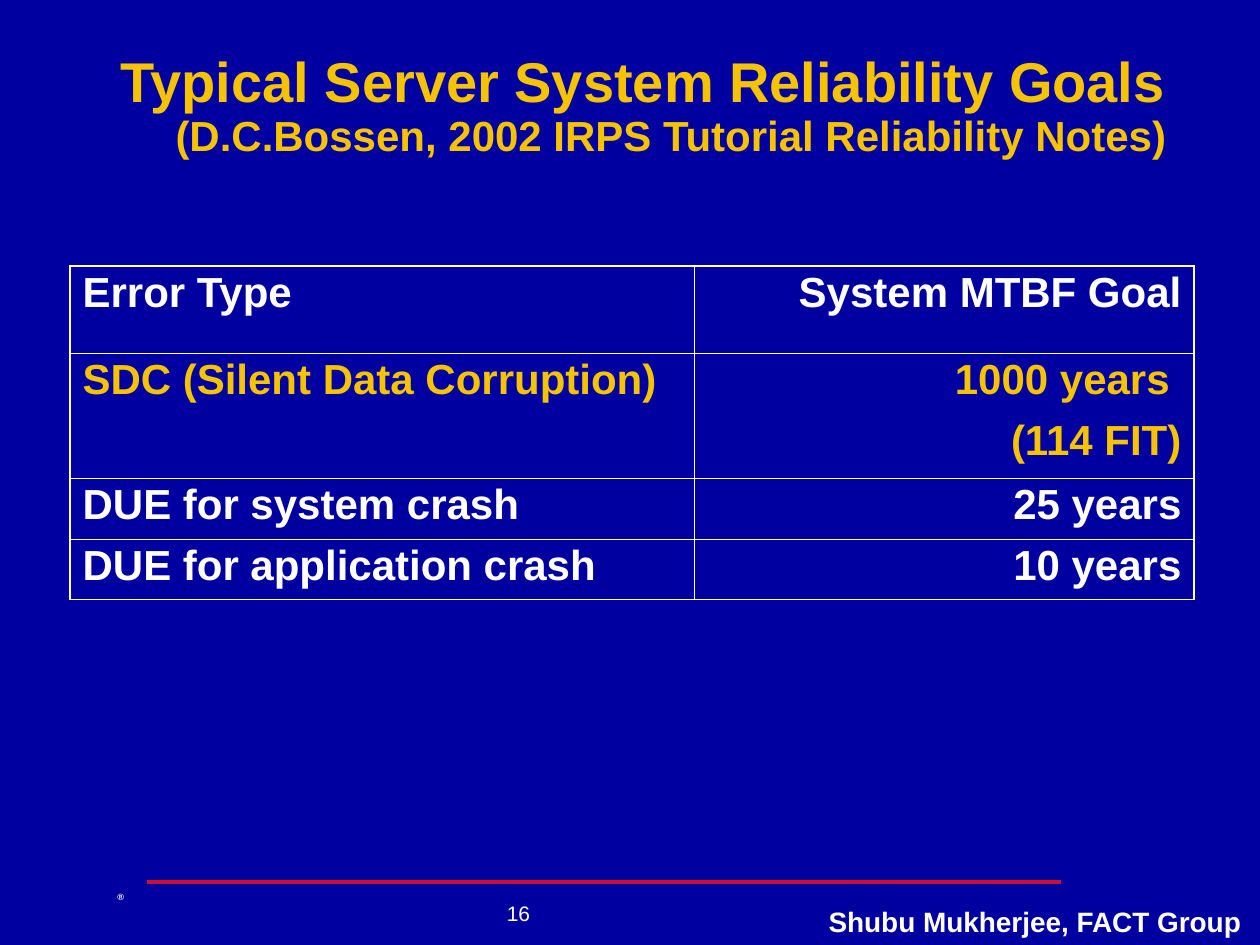
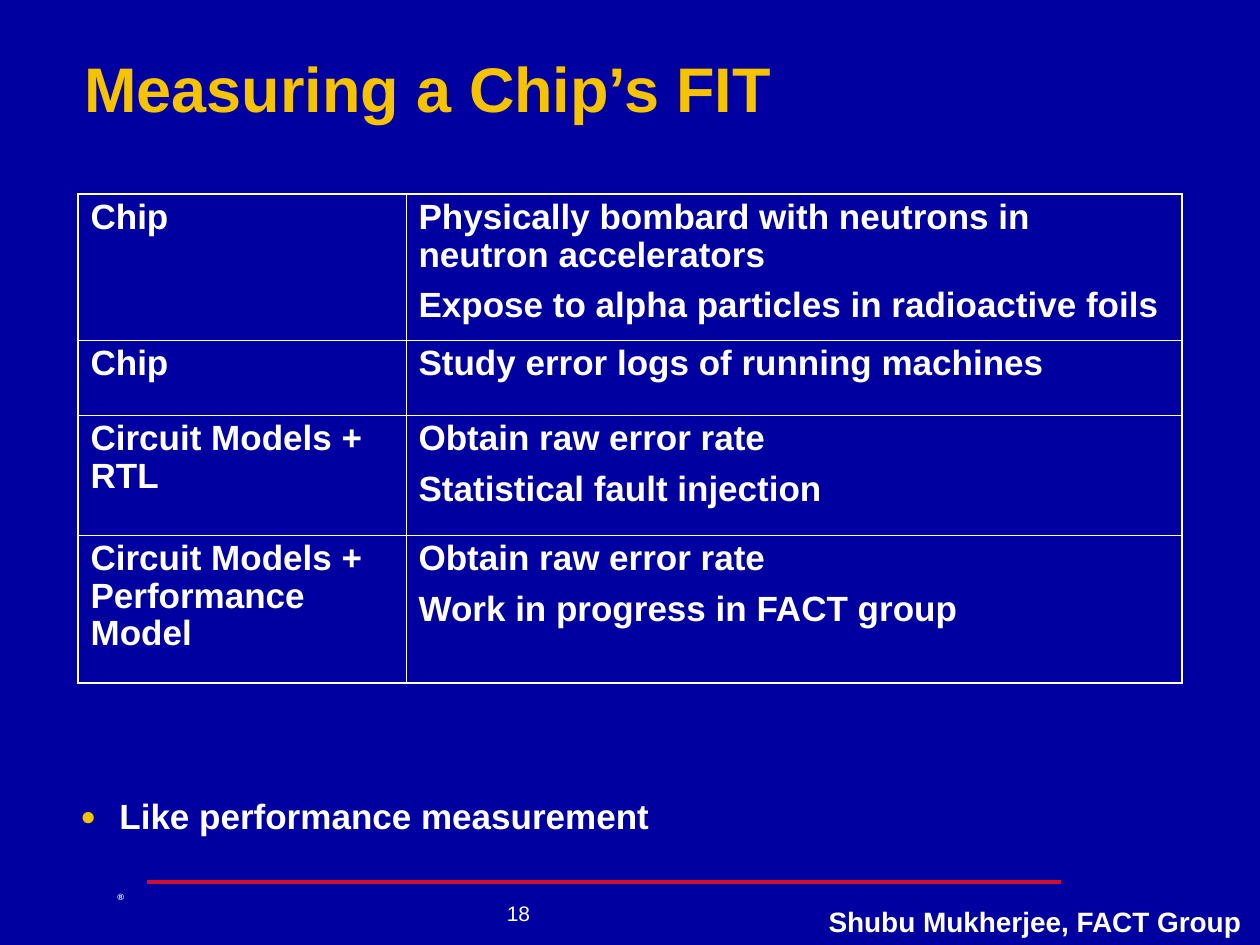
from lxml import etree
from pptx import Presentation
from pptx.dml.color import RGBColor
from pptx.enum.shapes import MSO_CONNECTOR
from pptx.enum.text import MSO_ANCHOR, PP_ALIGN
from pptx.oxml.ns import qn
from pptx.util import Pt

LEFT, CENTER, RIGHT = PP_ALIGN.LEFT, PP_ALIGN.CENTER, PP_ALIGN.RIGHT
TOP, MIDDLE = MSO_ANCHOR.TOP, MSO_ANCHOR.MIDDLE
STRAIGHT = MSO_CONNECTOR.STRAIGHT

EMU_PER_PX = 914400 / 126
FONT = "Arial"
COLORS = {"background": "0000A0", "text": "FFFFFF", "accent": "F5C300", "rule": "CF0E30"}
OUTER_BORDER, INNER_BORDER = 1.08, 0.45


def px(length):
    return round(length * EMU_PER_PX)


def rgb(name):
    return RGBColor.from_string(COLORS[name])


# Text
def write_text(frame, text, *, size, color="text", bold=True, align=LEFT,
               line_spacing=None, space_before=None):
    """Write one paragraph for each line of text and return the paragraphs."""
    for index, line in enumerate(text.split("\n")):
        paragraph = frame.add_paragraph() if index else frame.paragraphs[0]
        paragraph.alignment = align
        paragraph.line_spacing = line_spacing
        if space_before is not None:
            paragraph.space_before = Pt(space_before)
        run = paragraph.add_run()
        run.text = line
        run.font.name = FONT
        run.font.size = Pt(size)
        run.font.bold = bold
        run.font.color.rgb = rgb(color)
    return frame.paragraphs


def add_text(slide, box, text, *, anchor=TOP, wrap=False, fill=None, **text_format):
    shape = slide.shapes.add_textbox(*map(px, box))
    if fill:
        shape.fill.solid()
        shape.fill.fore_color.rgb = rgb(fill)
    frame = shape.text_frame
    frame.word_wrap = wrap
    frame.vertical_anchor = anchor
    return write_text(frame, text, **text_format)


def add_title(slide, box, text, **text_format):
    return add_text(slide, box, text, wrap=True, fill="background", color="accent",
                    line_spacing=0.9, **text_format)


def add_bullet(slide, box, text, size):
    paragraph = add_text(slide, box, text, wrap=True, fill="background", size=size,
                         line_spacing=0.95, space_before=7.5)[0]
    properties = paragraph._p.get_or_add_pPr()
    properties.set("marL", str(px(39)))
    properties.set("indent", str(-px(39)))
    color = etree.SubElement(properties, qn("a:buClr"))
    etree.SubElement(color, qn("a:srgbClr"), val=COLORS["accent"])
    etree.SubElement(properties, qn("a:buSzPct"), val="75000")
    etree.SubElement(properties, qn("a:buFont"), typeface=FONT)
    etree.SubElement(properties, qn("a:buChar"), char="●")


# Tables
def set_borders(cell, outer_sides):
    properties = cell._tc.get_or_add_tcPr()
    for index, side in enumerate("LRTB"):
        width = OUTER_BORDER if side in outer_sides else INNER_BORDER
        line = etree.Element(qn(f"a:ln{side}"), w=str(Pt(width)))
        fill = etree.SubElement(line, qn("a:solidFill"))
        etree.SubElement(fill, qn("a:srgbClr"), val=COLORS["text"])
        properties.insert(index, line)


def add_grid(slide, left, top, widths, heights, rows, *, size, space_before,
             aligns=(LEFT, LEFT), accent_row=None):
    box = (left, top, sum(widths), sum(heights))
    table = slide.shapes.add_table(len(rows), len(widths), *map(px, box)).table
    table.first_row = table.horz_banding = False
    for column, width in zip(table.columns, widths):
        column.width = px(width)
    for row, height in zip(table.rows, heights):
        row.height = px(height)
    last_row, last_column = len(rows) - 1, len(widths) - 1
    for r, texts in enumerate(rows):
        for c, text in enumerate(texts):
            cell = table.cell(r, c)
            cell.fill.background()
            edges = {"L": c == 0, "R": c == last_column, "T": r == 0, "B": r == last_row}
            set_borders(cell, [side for side, outer in edges.items() if outer])
            write_text(cell.text_frame, text, size=size, align=aligns[c],
                       color="accent" if r == accent_row else "text",
                       line_spacing=0.95, space_before=space_before)


# Shared background and footer
def add_rule(slide):
    line = slide.shapes.add_connector(STRAIGHT, px(147), px(882), px(1061), px(882))
    line.line.color.rgb = rgb("rule")
    line.line.width = Pt(2)
    etree.SubElement(line._element.spPr, qn("a:effectLst"))


def add_base_slide(presentation, number):
    slide = presentation.slides.add_slide(presentation.slide_layouts[6])
    slide.background.fill.solid()
    slide.background.fill.fore_color.rgb = rgb("background")
    mark = add_text(slide, (105, 883, 33, 32), "®", size=9)[0]
    mark.runs[0].font._element.set("baseline", "30000")
    add_rule(slide)
    add_text(slide, (403, 882, 231, 63), str(number), size=12, bold=False,
             align=CENTER, anchor=MIDDLE)
    add_text(slide, (815, 898, 440, 47), "Shubu Mukherjee, FACT Group", size=16,
             align=CENTER)
    return slide


# Slides
def build_reliability_goals(presentation):
    slide = add_base_slide(presentation, 16)
    title = add_title(slide, (78, 48, 1101, 158),
                      "Typical Server System Reliability Goals\n"
                      "(D.C.Bossen, 2002 IRPS Tutorial Reliability Notes)",
                      size=32, align=RIGHT)
    title[1].runs[0].font.size = Pt(24)
    goals = [
        ("Error Type", "System MTBF Goal"),
        ("SDC (Silent Data Corruption)", "1000 years \n(114 FIT)"),
        ("DUE for system crash", "25 years"),
        ("DUE for application crash", "10 years"),
    ]
    add_grid(slide, 70, 266, (624, 500), (87, 125, 61, 60), goals, size=24,
             space_before=9, aligns=(LEFT, RIGHT), accent_row=1)


def build_measuring_fit(presentation):
    slide = add_base_slide(presentation, 18)
    add_title(slide, (72, 13, 1154, 158), "Measuring a Chip’s FIT", size=36, anchor=MIDDLE)
    add_bullet(slide, (68, 791, 1103, 72), "Like performance measurement", 20)
    methods = [
        ("Chip", "Physically bombard with neutrons in neutron accelerators\n"
                 "Expose to alpha particles in radioactive foils"),
        ("Chip", "Study error logs of running machines"),
        ("Circuit Models + RTL", "Obtain raw error rate\nStatistical fault injection"),
        ("Circuit Models + Performance Model",
         "Obtain raw error rate\nWork in progress in FACT group"),
    ]
    add_grid(slide, 78, 194, (328, 776), (146, 75, 120, 148), methods, size=20,
             space_before=7.5)


def main():
    presentation = Presentation()
    presentation.slide_width, presentation.slide_height = px(1260), px(945)
    build_reliability_goals(presentation)
    build_measuring_fit(presentation)
    presentation.save("out.pptx")


if __name__ == "__main__":
    main()
